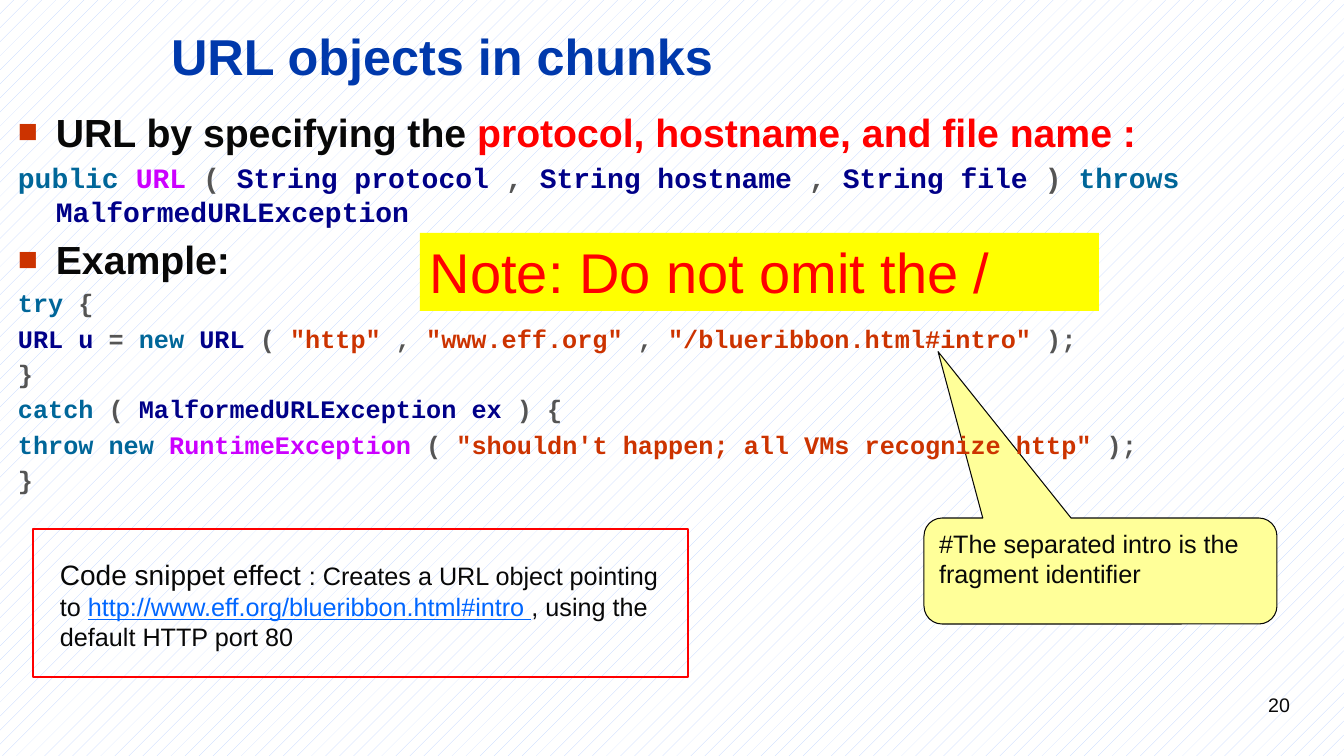
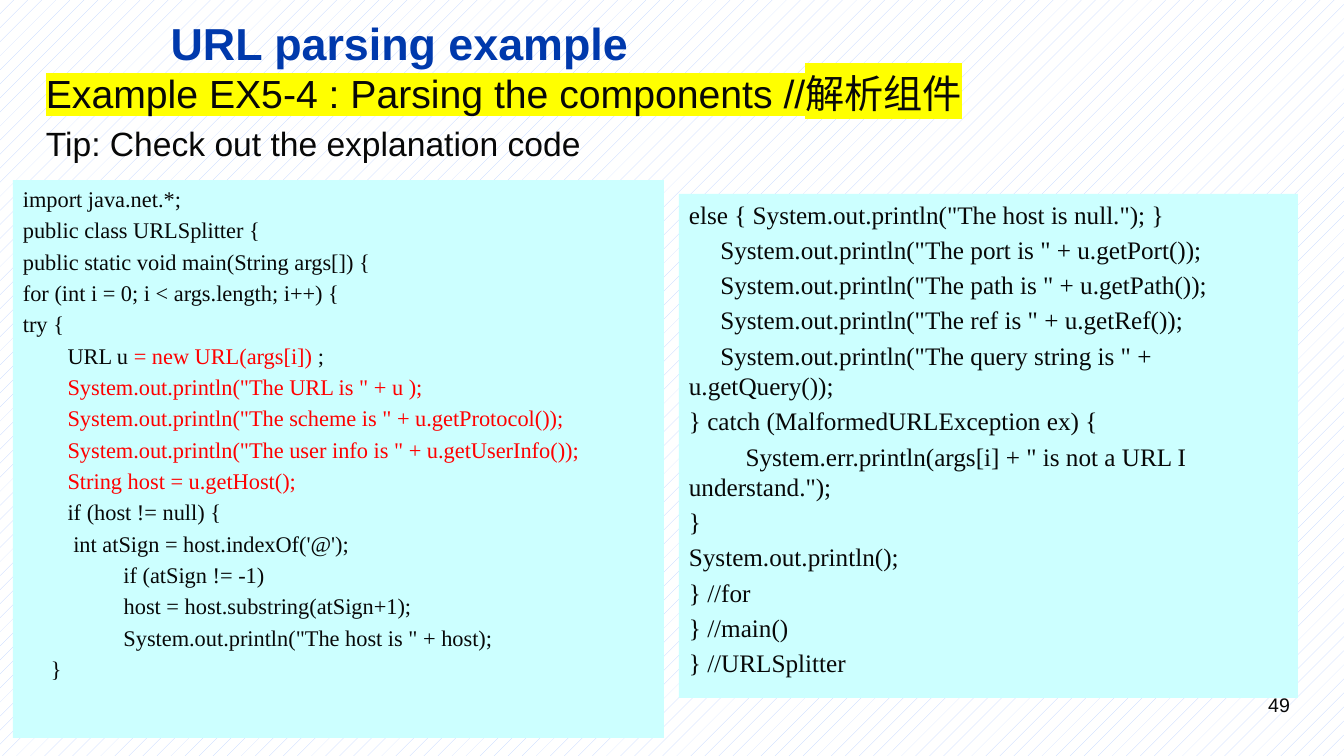
from dataclasses import dataclass

from lxml import etree
from pptx import Presentation
from pptx import util as u
from pptx.dml.color import RGBColor
from pptx.enum import dml, shapes, text
from pptx.oxml import ns


@dataclass(frozen=True)
class Theme:
    # colours
    ink: str = "080808"
    title: str = "0039AC"
    white: str = "FFFFFF"
    pattern: str = "BBD2FF"
    red: str = "FF0000"
    yellow: str = "FFFF00"
    callout: str = "FFFF99"
    code_fill: str = "CCFFFF"
    link: str = "0066FF"
    # syntax colours
    keyword: str = "006699"
    call: str = "CC00FF"
    name: str = "000088"
    mark: str = "555555"
    literal: str = "CC3300"
    # fonts and sizes
    sans: str = "Arial"
    mono: str = "Courier New"
    serif: str = "Times New Roman"
    note: int = 40
    heading: int = 28
    subheading: int = 24
    large: int = 20
    normal: int = 18
    small: int = 16
    number: int = 14


T = Theme()
WIDTH, HEIGHT = 1344, 756
INDENT = 38
SPACE = 0.2  # space before a paragraph, as a share of its type size


def px(n):
    return u.Emu(round(n * 12192000 / WIDTH))


def place(box):
    return [px(n) for n in box]


def rgb(value):
    return RGBColor.from_string(value)


# Text
def add_text(p, content, size=T.normal, color=T.ink, font=T.sans, bold=False,
             underline=False, highlight=None):
    r = p.add_run()
    r.text = content
    r.font.size, r.font.name = u.Pt(size), font
    r.font.bold, r.font.underline = bold, underline
    r.font.color.rgb = rgb(color)
    if highlight:
        mark = etree.Element(ns.qn("a:highlight"))
        etree.SubElement(mark, ns.qn("a:srgbClr"), val=highlight)
        r.font.fill._xPr.find(ns.qn("a:solidFill")).addnext(mark)


def add_bullet(p):
    pPr = p._p.get_or_add_pPr()
    color = etree.SubElement(pPr, ns.qn("a:buClr"))
    etree.SubElement(color, ns.qn("a:srgbClr"), val=T.literal)
    etree.SubElement(pPr, ns.qn("a:buSzPct"), val="85000")
    etree.SubElement(pPr, ns.qn("a:buFont"), typeface=T.sans)
    etree.SubElement(pPr, ns.qn("a:buChar"), char="■")


def add_paragraph(tf, runs, space=SPACE, hanging=False, bullet=False,
                  align=text.PP_ALIGN.LEFT, **fmt):
    """Add runs, each a string or a pair of a string and its own format."""
    first = not tf.paragraphs[0].runs
    p = tf.paragraphs[0] if first else tf.add_paragraph()
    p.alignment = align
    if not first:
        p.space_before = u.Pt(round(space * fmt.get("size", T.normal), 1))
    if hanging:
        pPr = p._p.get_or_add_pPr()
        pPr.set("marL", str(px(INDENT)))
        pPr.set("indent", str(-px(INDENT)))
    if bullet:
        add_bullet(p)
    for run in [runs] if isinstance(runs, str) else runs:
        content, own = (run, {}) if isinstance(run, str) else run
        add_text(p, content, **{**fmt, **own})


def frame(sp, anchor=text.MSO_ANCHOR.TOP):
    tf = sp.text_frame
    tf.word_wrap = True
    tf.auto_size = text.MSO_AUTO_SIZE.NONE
    tf.vertical_anchor = anchor
    return tf


def text_box(s, box):
    return frame(s.shapes.add_textbox(*place(box)))


# Shapes
def add_box(s, box, fill=None, line=None, weight=1,
            kind=shapes.MSO_SHAPE.RECTANGLE):
    sp = s.shapes.add_shape(kind, *place(box))
    sp.shadow.inherit = False
    if fill:
        sp.fill.solid()
        sp.fill.fore_color.rgb = rgb(fill)
    else:
        sp.fill.background()
    if line:
        sp.line.color.rgb = rgb(line)
        sp.line.width = u.Pt(weight)
    else:
        sp.line.fill.background()
    return sp


# Parts shared by the slides
def set_background(prs):
    fill = prs.slide_master.background.fill
    fill.patterned()
    fill.pattern = dml.MSO_PATTERN.PERCENT_5
    fill.fore_color.rgb = rgb(T.pattern)
    fill.back_color.rgb = rgb(T.white)


def new_slide(prs, title, box, size, number, align=text.PP_ALIGN.LEFT):
    s = prs.slides.add_slide(prs.slide_layouts[5])
    sp = s.shapes.title
    sp.left, sp.top, sp.width, sp.height = place(box)
    add_paragraph(frame(sp, text.MSO_ANCHOR.MIDDLE), title, align=align,
                  size=size, color=T.title, bold=True)
    add_paragraph(text_box(s, (964, 688, 336, 52)), number,
                  align=text.PP_ALIGN.RIGHT, size=T.number)
    return s


# Regions
def constructor_code(s, box):
    def token(color):
        return lambda content: (content, {"color": color})

    keyword, call, name, mark, literal = map(
        token, (T.keyword, T.call, T.name, T.mark, T.literal))
    tf = text_box(s, box)

    def heading(runs):
        add_paragraph(tf, runs, hanging=True, bullet=True, size=T.heading,
                      bold=True)

    def code(*runs, size=T.normal):
        add_paragraph(tf, runs, hanging=True, size=size, font=T.mono,
                      bold=True)

    heading(["URL by specifying the ",
             ("protocol, hostname, and file name :", {"color": T.red})])
    code(keyword("public "), call("URL "), mark("( "),
         name("String protocol "), mark(", "), name("String hostname "),
         mark(", "), name("String file "), mark(") "), keyword("throws "),
         name("MalformedURLException"), size=T.large)
    heading("Example:")
    code(keyword("try "), mark("{"))
    code(name("URL u "), mark("= "), keyword("new "), name("URL "),
         mark("( "), literal('"http" '), mark(", "),
         literal('"www.eff.org" '), mark(", "),
         literal('"/blueribbon.html#intro" '), mark(");"))
    code(mark("}"))
    code(keyword("catch "), mark("( "), name("MalformedURLException ex "),
         mark(") {"))
    code(keyword("throw new "), call("RuntimeException "), mark("( "),
         literal('"shouldn\'t happen; all VMs recognize http" '), mark(");"))
    code(mark("}"))


def fragment_callout(s, box):
    sp = add_box(s, box, T.callout, T.ink, 0.75,
                 shapes.MSO_SHAPE.ROUNDED_RECTANGULAR_CALLOUT)
    for i, value in enumerate((-0.46, -2.07, 0.17)):
        sp.adjustments[i] = value
    add_paragraph(frame(sp), "#The separated intro is the fragment identifier")


def slash_note(s, box):
    sp = add_box(s, box, T.yellow)
    add_paragraph(frame(sp), "Note: Do not omit the /", size=T.note,
                  color=T.red)


def effect_box(s, box):
    x, y, w, h = box
    add_paragraph(text_box(s, (x + 17, y + 24, w - 33, h - 43)), [
        ("Code snippet effect ", {"size": T.large}),
        ": Creates a URL object pointing to ",
        ("http://www.eff.org/blueribbon.html#intro ",
         {"color": T.link, "underline": True}),
        ", using the default HTTP port 80"])
    add_box(s, box, line=T.red, weight=2)


def example_intro(s, box):
    tf = text_box(s, box)
    add_paragraph(tf, "Example EX5-4 : Parsing the components //解析组件",
                  size=T.heading, highlight=T.yellow)
    add_paragraph(tf, "Tip: Check out the explanation code",
                  size=T.subheading)


def code_panel(s, box, lines, size):
    tf = frame(add_box(s, box, T.code_fill))
    for line in lines:
        add_paragraph(tf, line, size=size, font=T.serif)


def red(content):
    return content, {"color": T.red}


SPLITTER_START = [
    "import java.net.*;",
    "public class URLSplitter {",
    "public static void main(String args[]) {",
    "for (int i = 0; i < args.length; i++) {",
    "try {",
    ["        URL u ", red("= new URL(args[i]) "), ";"],
    [red('        System.out.println("The URL is " + u );')],
    [red('        System.out.println("The scheme is " + u.getProtocol());')],
    [red('        System.out.println("The user info is " + u.getUserInfo());')],
    [red("        String host = u.getHost();")],
    "        if (host != null) {",
    "\tint atSign = host.indexOf('@');",
    "                  if (atSign != -1)",
    "\t\thost = host.substring(atSign+1);",
    '                  System.out.println("The host is " + host);',
    "     }",
]
SPLITTER_END = [
    'else { System.out.println("The host is null."); }',
    '     System.out.println("The port is " + u.getPort());',
    '     System.out.println("The path is " + u.getPath());',
    '     System.out.println("The ref is " + u.getRef());',
    '     System.out.println("The query string is " + u.getQuery());',
    "} catch (MalformedURLException ex) {",
    '         System.err.println(args[i] + " is not a URL I understand.");',
    "}",
    "System.out.println();",
    "} //for",
    "} //main()",
    "} //URLSplitter",
]


# Slides
def chunks_slide(prs):
    s = new_slide(prs, "URL objects in chunks", (161, 13, 941, 84), 36, "20")
    fragment_callout(s, (924, 518, 353, 106))
    constructor_code(s, (8, 103, 1318, 575))
    slash_note(s, (420, 233, 679, 78))
    effect_box(s, (33, 529, 655, 148))


def parsing_slide(prs):
    s = new_slide(prs, "URL parsing example", (36, 15, 727, 55), 32, "49",
                  text.PP_ALIGN.CENTER)
    example_intro(s, (36, 64, 1235, 115))
    code_panel(s, (13, 180, 651, 558), SPLITTER_START, T.small)
    code_panel(s, (679, 194, 619, 504), SPLITTER_END, T.normal)


def main():
    prs = Presentation()
    prs.slide_width, prs.slide_height = px(WIDTH), px(HEIGHT)
    set_background(prs)
    chunks_slide(prs)
    parsing_slide(prs)
    prs.save("out.pptx")


if __name__ == "__main__":
    main()
